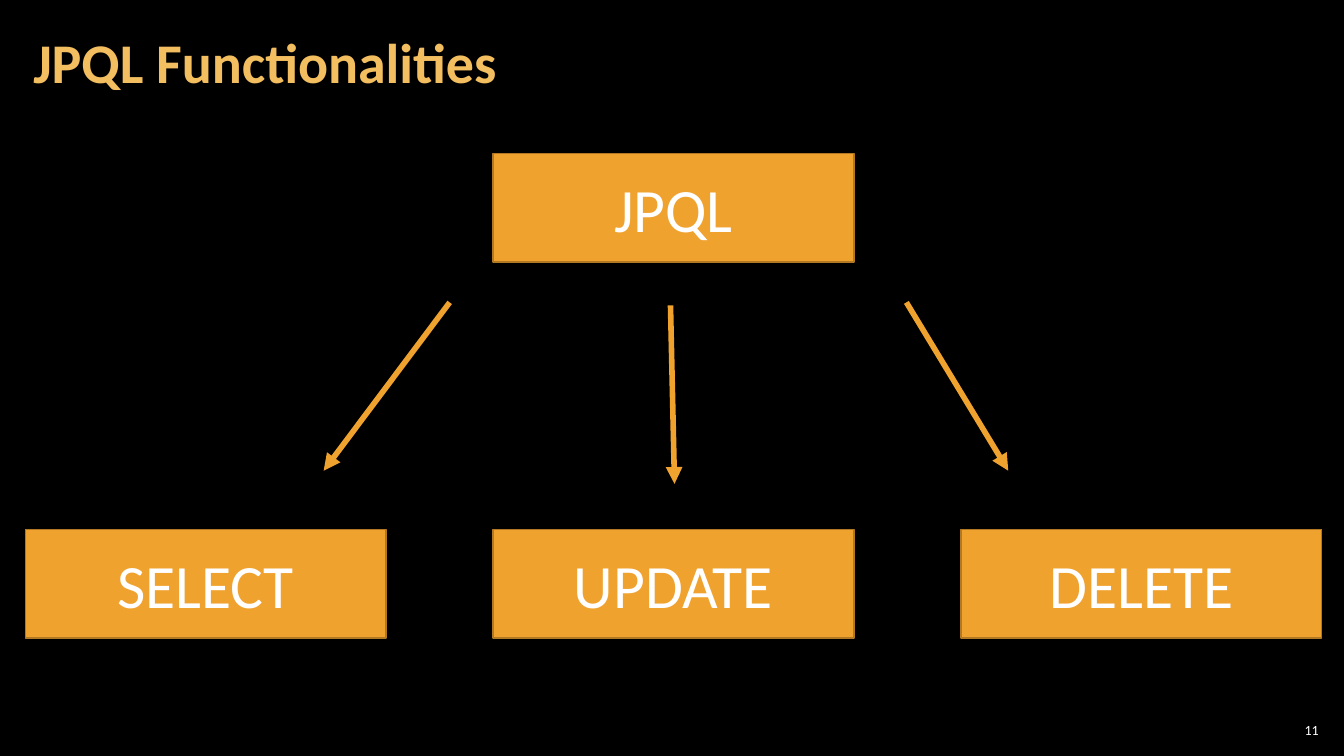
from pptx import Presentation
from pptx.dml.color import RGBColor
from pptx.enum.shapes import MSO_CONNECTOR, MSO_SHAPE
from pptx.enum.text import MSO_ANCHOR, PP_ALIGN
from pptx.oxml.ns import qn
from pptx.util import Inches, Pt
from lxml import etree

RECT = MSO_SHAPE.RECTANGLE
LINE = MSO_CONNECTOR.STRAIGHT
MIDDLE = MSO_ANCHOR.MIDDLE
LEFT, CENTER, RIGHT = PP_ALIGN.LEFT, PP_ALIGN.CENTER, PP_ALIGN.RIGHT

# Content
TITLE = "JPQL Functionalities"
PAGE = "11"
ROOT = "JPQL"
VERBS = ["SELECT", "UPDATE", "DELETE"]
ARROWS = [  # start, end
    ((4.46, 3), (3.21, 4.67)),
    ((8.99, 3), (10, 4.67)),
    ((6.65, 3.03), (6.69, 4.8)),
]

# Style and grid, in inches
FONT = "Calibri"
COLORS = {"back": "000000", "title": "F3BE60", "box": "F0A22E",
          "edge": "B27822", "text": "FFFFFF"}
BOX_W, BOX_H = 3.58, 1.08
LEFT_X, STEP = 0.25, 4.64
ROOT_Y, VERB_Y = 1.52, 5.25


def color(name):
    return RGBColor.from_string(COLORS[name])


def write(shape, text, size, name, align, bold=False, pad=(0.1, 0.05)):
    frame = shape.text_frame
    frame.text = text
    frame.word_wrap = True
    frame.vertical_anchor = MIDDLE
    frame.margin_left = frame.margin_right = Inches(pad[0])
    frame.margin_top = frame.margin_bottom = Inches(pad[1])
    para = frame.paragraphs[0]
    para.alignment = align
    font = para.runs[0].font
    font.name, font.size, font.bold = FONT, Pt(size), bold
    font.color.rgb = color(name)
    return para


def add_box(slide, text, col, y):
    box = slide.shapes.add_shape(RECT, Inches(LEFT_X + col * STEP), Inches(y),
                                 Inches(BOX_W), Inches(BOX_H))
    box.shadow.inherit = False
    box.fill.solid()
    box.fill.fore_color.rgb = color("box")
    box.line.color.rgb = color("edge")
    box.line.width = Pt(1)
    write(box, text, 44, "text", CENTER)


def add_arrow(slide, start, end):
    ends = [Inches(v) for v in start + end]
    arrow = slide.shapes.add_connector(LINE, *ends)
    arrow.line.color.rgb = color("box")
    arrow.line.width = Pt(4)
    etree.SubElement(arrow.line._get_or_add_ln(), qn("a:tailEnd"),
                     type="triangle")
    etree.SubElement(arrow._element.spPr, qn("a:effectLst"))


def main():
    deck = Presentation()
    deck.slide_width, deck.slide_height = Inches(13.33), Inches(7.5)
    slide = deck.slides.add_slide(deck.slide_layouts[5])
    slide.background.fill.solid()
    slide.background.fill.fore_color.rgb = color("back")

    # Title and page number
    title = slide.shapes.title
    title.left, title.top = Inches(0.21), Inches(0.04)
    title.width, title.height = Inches(10.47), Inches(1.21)
    para = write(title, TITLE, 40, "title", LEFT, True, (0.12, 0.04))
    para.line_spacing = 0.9
    page = slide.shapes.add_textbox(Inches(12.65), Inches(7.14),
                                    Inches(0.47), Inches(0.21))
    write(page, PAGE, 10, "text", RIGHT, pad=(0.04, 0.04))

    # Boxes: root above the middle column
    add_box(slide, ROOT, 1, ROOT_Y)
    for col, verb in enumerate(VERBS):
        add_box(slide, verb, col, VERB_Y)

    # Arrows
    for start, end in ARROWS:
        add_arrow(slide, start, end)

    deck.save("out.pptx")


if __name__ == "__main__":
    main()
